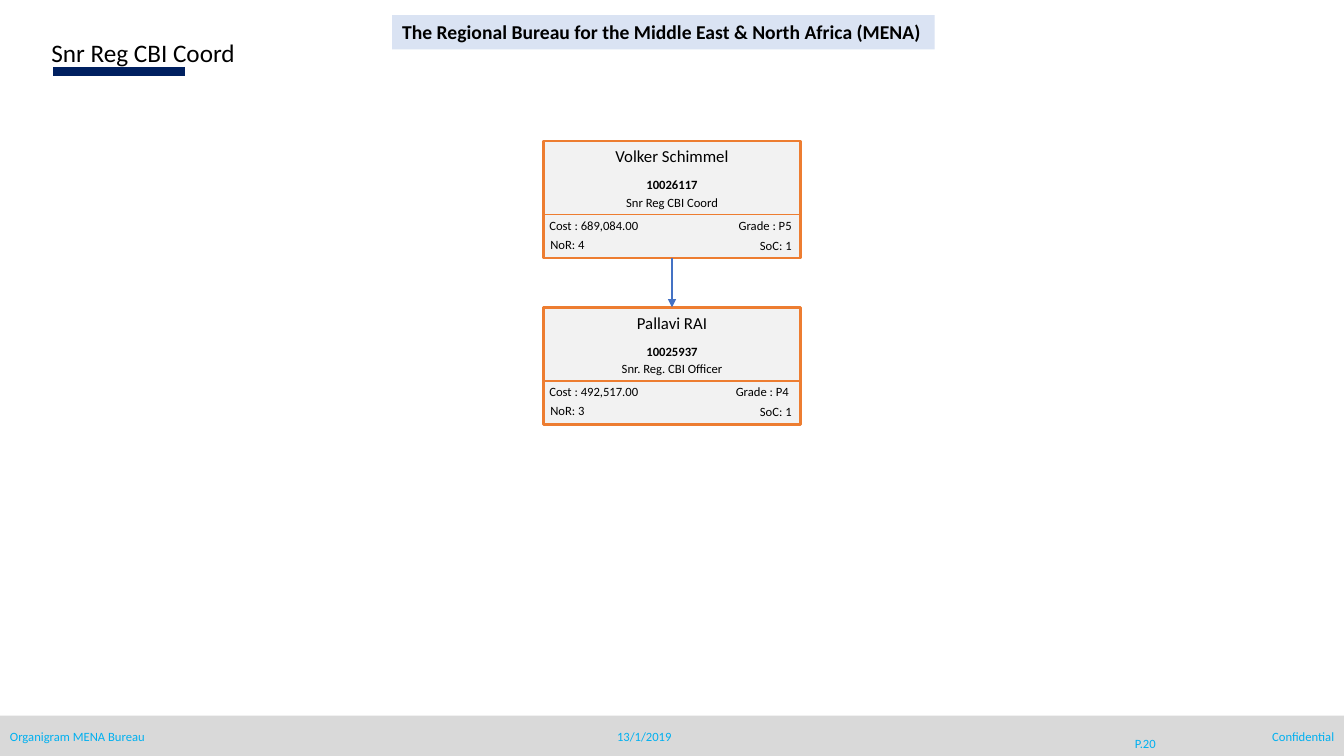
from dataclasses import dataclass

import pptx
import pptx.dml.color
import pptx.enum.shapes
import pptx.enum.text
import pptx.oxml
import pptx.oxml.ns
import pptx.util
from pptx.util import Inches

ALIGN = pptx.enum.text.PP_ALIGN
ANCHOR = pptx.enum.text.MSO_ANCHOR
FONT = "Calibri"
COLOURS = {
    "text": "000000",
    "footer_text": "00B0F0",
    "footer": "D9D9D9",
    "title_rule": "002060",
    "card": "F2F2F2",
    "card_line": "ED7D31",
    "banner": "DAE3F3",
    "arrow": "4472C4",
}
CARD_LEFT, CARD_WIDTH, CARD_HEIGHT = 5.39, 2.55, 1.16
DIVIDER_DROP = 0.73


@dataclass(frozen=True)
class Label:
    text: str
    left: float
    top: float
    width: float
    height: float = 0.25
    size: float = 9
    bold: bool = False
    align: ALIGN = ALIGN.LEFT
    colour: str = "text"
    anchor: ANCHOR = ANCHOR.TOP


@dataclass(frozen=True)
class Post:
    top: float
    name: str
    number: str
    role: str
    cost: str
    grade: str
    reports: str
    span_of_control: str


def rgb(colour: str) -> pptx.dml.color.RGBColor:
    return pptx.dml.color.RGBColor.from_string(COLOURS[colour])


def fill_text(box, label: Label, wrap: bool = True) -> None:
    box.left, box.top = Inches(label.left), Inches(label.top)
    box.width, box.height = Inches(label.width), Inches(label.height)
    frame = box.text_frame
    frame.word_wrap = wrap
    frame.auto_size = pptx.enum.text.MSO_AUTO_SIZE.NONE
    frame.vertical_anchor = label.anchor
    frame.text = label.text
    para = frame.paragraphs[0]
    para.alignment = label.align
    para.font.name = FONT
    para.font.size = pptx.util.Pt(label.size)
    para.font.bold = label.bold
    para.font.color.rgb = rgb(label.colour)


def add_label(page, label: Label) -> None:
    fill_text(page.shapes.add_textbox(0, 0, 0, 0), label)


def add_panel(page, left: float, top: float, width: float, height: float,
              fill: str, line: str | None = None):
    panel = page.shapes.add_shape(
        pptx.enum.shapes.MSO_SHAPE.RECTANGLE,
        Inches(left), Inches(top), Inches(width), Inches(height))
    panel.shadow.inherit = False
    panel.fill.solid()
    panel.fill.fore_color.rgb = rgb(fill)
    if line:
        panel.line.color.rgb = rgb(line)
        panel.line.width = pptx.util.Pt(2)
    else:
        panel.line.fill.background()
    return panel


def add_line(page, start: tuple[float, float], end: tuple[float, float],
             colour: str, weight: float, arrow: bool = False) -> None:
    line = page.shapes.add_connector(
        pptx.enum.shapes.MSO_CONNECTOR.STRAIGHT,
        Inches(start[0]), Inches(start[1]), Inches(end[0]), Inches(end[1]))
    line.line.color.rgb = rgb(colour)
    line.line.width = pptx.util.Pt(weight)
    if arrow:
        head = pptx.oxml.parse_xml(
            f'<a:tailEnd {pptx.oxml.ns.nsdecls("a")} type="triangle"/>')
        line.line._get_or_add_ln().append(head)
    line._element.spPr.append(
        pptx.oxml.parse_xml(f'<a:effectLst {pptx.oxml.ns.nsdecls("a")}/>'))


def add_card(page, post: Post) -> None:
    top = post.top
    add_panel(page, CARD_LEFT, top, CARD_WIDTH, CARD_HEIGHT, "card", "card_line")
    divider = top + DIVIDER_DROP
    add_line(page, (CARD_LEFT, divider), (CARD_LEFT + CARD_WIDTH, divider),
             "card_line", 1)
    labels = (
        Label(post.name, CARD_LEFT, top, CARD_WIDTH, 0.3, size=12,
              align=ALIGN.CENTER),
        Label(post.number, CARD_LEFT, top + 0.31, CARD_WIDTH, bold=True,
              align=ALIGN.CENTER),
        Label(post.role, CARD_LEFT, top + 0.48, CARD_WIDTH, align=ALIGN.CENTER),
        Label(post.cost, 5.35, top + 0.71, 1.4),
        Label(post.grade, 6.73, top + 0.71, 1.22, align=ALIGN.RIGHT),
        Label(post.reports, 5.36, top + 0.9, 0.78),
        Label(post.span_of_control, 6.93, top + 0.91, 1.02, align=ALIGN.RIGHT),
    )
    for label in labels:
        add_label(page, label)


POSTS = (
    Post(1.4, "Volker Schimmel", "10026117", "Snr Reg CBI Coord",
         "Cost : 689,084.00", "Grade : P5", "NoR: 4", "SoC: 1"),
    Post(3.05, "Pallavi RAI", "10025937", "Snr. Reg. CBI Officer",
         "Cost : 492,517.00", "Grade : P4 ", "NoR: 3", "SoC: 1"),
)
FOOTER = (
    Label("Organigram MENA Bureau", 0, 7.18, 3.08, colour="footer_text"),
    Label("13/1/2019", 5.95, 7.18, 0.88, align=ALIGN.CENTER,
          colour="footer_text", anchor=ANCHOR.MIDDLE),
    Label("P.20", 10.96, 7.26, 0.8, 0.24, align=ALIGN.CENTER,
          colour="footer_text", anchor=ANCHOR.MIDDLE),
    Label("Confidential", 10.25, 7.18, 3.08, align=ALIGN.RIGHT,
          colour="footer_text"),
)
TITLE = Label("Snr Reg CBI Coord", 0.41, 0.32, 5.3, 0.41, size=18)
BANNER = Label("The Regional Bureau for the Middle East & North Africa (MENA)",
               3.89, 0.15, 5.38, 0.34, size=14, bold=True)


def main() -> None:
    deck = pptx.Presentation()
    deck.slide_width, deck.slide_height = Inches(13.33), Inches(7.5)
    page = deck.slides.add_slide(deck.slide_layouts.get_by_name("Title Only"))

    add_line(page, (0.53, 0.71), (1.84, 0.71), "title_rule", 7)
    fill_text(page.shapes.title, TITLE)
    banner = add_panel(page, BANNER.left, BANNER.top, BANNER.width,
                       BANNER.height, "banner")
    fill_text(banner, BANNER, wrap=False)

    for post in POSTS:
        add_card(page, post)
    centre = CARD_LEFT + CARD_WIDTH / 2
    manager, officer = POSTS
    add_line(page, (centre, manager.top + CARD_HEIGHT), (centre, officer.top),
             "arrow", 1.5, arrow=True)

    add_panel(page, 0, 7.1, 13.33, 0.4, "footer")
    for label in FOOTER:
        add_label(page, label)
    deck.save("out.pptx")


if __name__ == "__main__":
    main()
